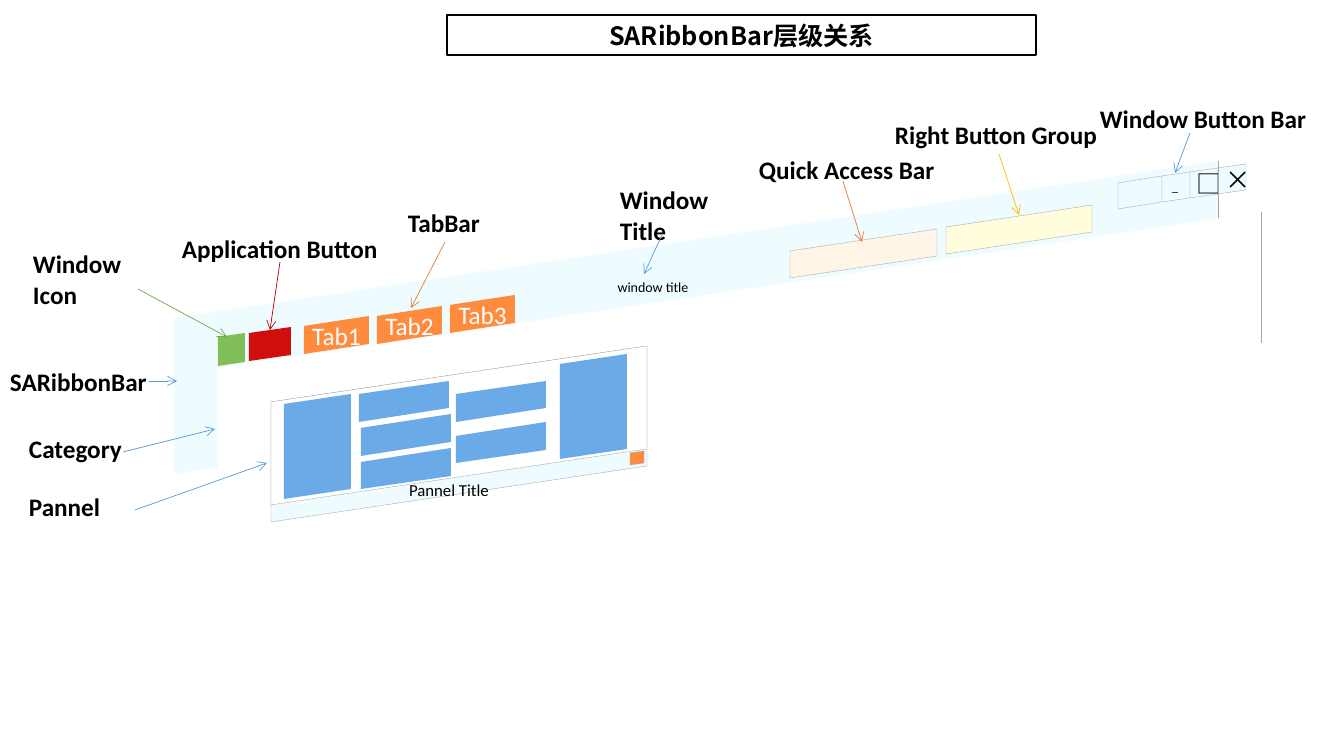
"""Build the SARibbonBar hierarchy slide on a grid of 1344 columns by 756 rows."""
from lxml import etree
from pptx import Presentation
from pptx import util as u
from pptx.dml import color as dml
from pptx.enum import shapes, text
from pptx.oxml import ns

deck = Presentation()
deck.slide_width, deck.slide_height = u.Inches(13.333), u.Inches(7.5)
page = deck.slides.add_slide(deck.slide_layouts[6])
cell = deck.slide_width / 1344
SLOPE = 0.15
tint = dml.RGBColor.from_string
PALE, ORANGE, BLUE, WHITE, GREY = "EFFCFF", "FF8C3E", "6AAAE6", "FFFFFF", "A6A6A6"
ARROW_BLUE, ARROW_ORANGE = "5B9BD5", "ED7D31"


def slab(left, top, width, height, fill, edge=None):
    """Draw a slanted panel whose upper left corner is at (left, top)."""
    rise = width * SLOPE
    outline = page.shapes.build_freeform(left, top, scale=cell)
    outline.add_line_segments([(left + width, top - rise),
                               (left + width, top - rise + height),
                               (left, top + height)])
    panel = outline.convert_to_shape()
    panel.shadow.inherit = False
    panel.fill.solid()
    panel.fill.fore_color.rgb = tint(fill)
    if edge:
        panel.line.color.rgb = tint(edge)
        panel.line.width = u.Pt(0.25)
    else:
        panel.line.fill.background()
    return panel


def write(shape, words, size, ink="000000", bold=False, font="Calibri", centred=True):
    """Put one line of text into a shape."""
    frame = shape.text_frame
    frame.word_wrap = False
    frame.vertical_anchor = text.MSO_ANCHOR.MIDDLE
    para = frame.paragraphs[0]
    para.alignment = text.PP_ALIGN.CENTER if centred else text.PP_ALIGN.LEFT
    span = para.add_run()
    span.text = words
    span.font.size, span.font.bold, span.font.name = u.Pt(size), bold, font
    span.font.color.rgb = tint(ink)
    etree.SubElement(span.font._element, ns.qn("a:ea"), typeface=font)


slab(174, 318, 1044, 156, PALE)
slab(218, 368, 1043, 131, WHITE)
slab(218, 337, 27, 29, "80BF57")
slab(249, 333, 42, 28, "D00E0E")
for index in range(3):
    tab = slab(304 + 73 * index, 326 - 10.5 * index, 65, 28, ORANGE)
    write(tab, f"Tab{index + 1}", 18, WHITE)
slab(790, 251, 147, 27, "FFF5E6", GREY)
slab(946, 227, 146, 27, "FFFDDB", GREY)

slab(1118, 183, 44, 26, PALE, GREY)
for index in range(3):
    slab(1162 + 28 * index, 176.5 - 4.2 * index, 28, 26, PALE, GREY)

slab(271, 402, 376, 120, PALE, GREY)
slab(271, 402, 376, 103, WHITE, GREY)
slab(630, 453, 14, 12, ORANGE, GREY)
for left, top in [(284, 404), (560, 364)]:
    slab(left, top, 67, 95, BLUE)
for left, top in [(359, 394.5), (361, 428), (361, 461.5), (456, 394.5), (456, 435.5)]:
    slab(left, top, 90, 27.5, BLUE)

captions = [
    ("window title", 653, 287, 10, "Calibri"),
    ("Pannel Title", 449, 490, 12, "Calibri"),
    ("_", 1175, 187, 9, "Calibri"),
    ("□", 1209, 183, 18, "Noto Sans CJK SC"),
    ("×", 1238, 179, 18, "Noto Sans CJK SC"),
]
for words, middle, centre, size, font in captions:
    box = page.shapes.add_textbox(*[u.Emu(int(n * cell)) for n in (middle - 50, centre - 20, 100, 40)])
    write(box, words, size, font=font)

labels = [
    ("Category", 19, 428, 113),
    ("Window Title", 610, 195, 160),
    ("Quick Access Bar", 749, 149, 196),
    ("Application Button", 172, 228, 217),
    ("Pannel", 19, 486, 92),
    ("SARibbonBar", 0, 361, 158),
    ("Window Icon", 23, 259, 158),
    ("TabBar", 398, 202, 92),
    ("Right Button Group", 885, 114, 223),
    ("Window Button Bar", 1090, 98, 227),
]
for words, left, top, width in labels:
    box = page.shapes.add_textbox(*[u.Emu(int(n * cell)) for n in (left, top, width, 40)])
    write(box, words, 18, bold=True, centred=False)

title = page.shapes.add_shape(shapes.MSO_SHAPE.RECTANGLE,
                              *[u.Emu(int(n * cell)) for n in (447, 15, 589, 40)])
title.shadow.inherit = False
title.fill.solid()
title.fill.fore_color.rgb = tint(WHITE)
title.line.color.rgb = tint("000000")
title.line.width = u.Pt(1)
write(title, "SARibbonBar层级关系", 18, bold=True, font="Noto Sans CJK SC")

lines = [
    (123, 452, 215, 429, ARROW_BLUE, True),
    (662, 235, 644, 274, ARROW_BLUE, True),
    (843, 181, 862, 242, ARROW_ORANGE, True),
    (280, 262, 270, 330, "C00000", True),
    (135, 510, 267, 463, ARROW_BLUE, True),
    (149, 381, 177, 381, ARROW_BLUE, True),
    (138, 289, 227, 337, "70AD47", True),
    (445, 242, 411, 308, ARROW_ORANGE, True),
    (999, 154, 1019, 215, "FFC000", True),
    (1190, 133, 1175, 173, ARROW_BLUE, True),
    (1218, 161, 1218, 218, GREY, False),
    (1261, 212, 1261, 343, GREY, False),
]
for *ends, ink, pointed in lines:
    line = page.shapes.add_connector(shapes.MSO_CONNECTOR.STRAIGHT,
                                     *[u.Emu(int(n * cell)) for n in ends])
    line.line.color.rgb = tint(ink)
    line.line.width = u.Pt(0.5)
    if pointed:
        etree.SubElement(line.line._get_or_add_ln(), ns.qn("a:tailEnd"), type="arrow")
    etree.SubElement(line._element.spPr, ns.qn("a:effectLst"))

deck.save("out.pptx")
